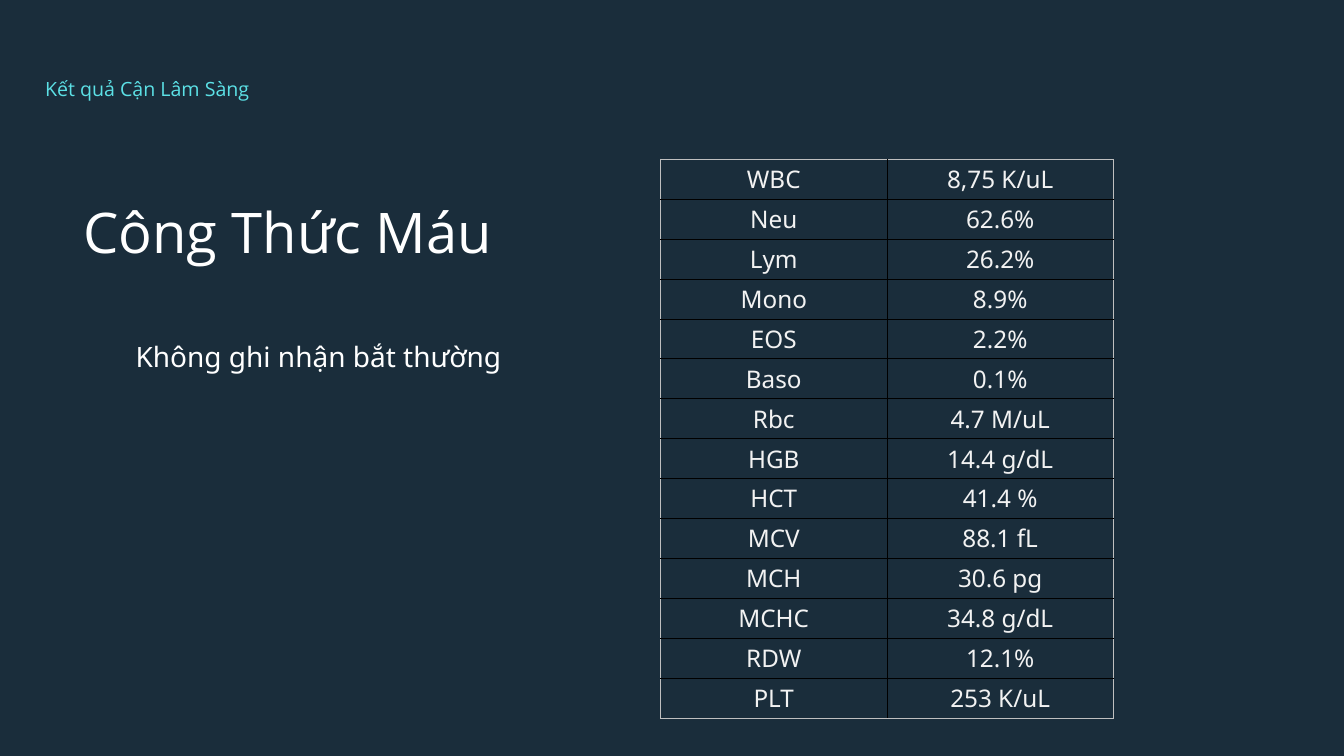
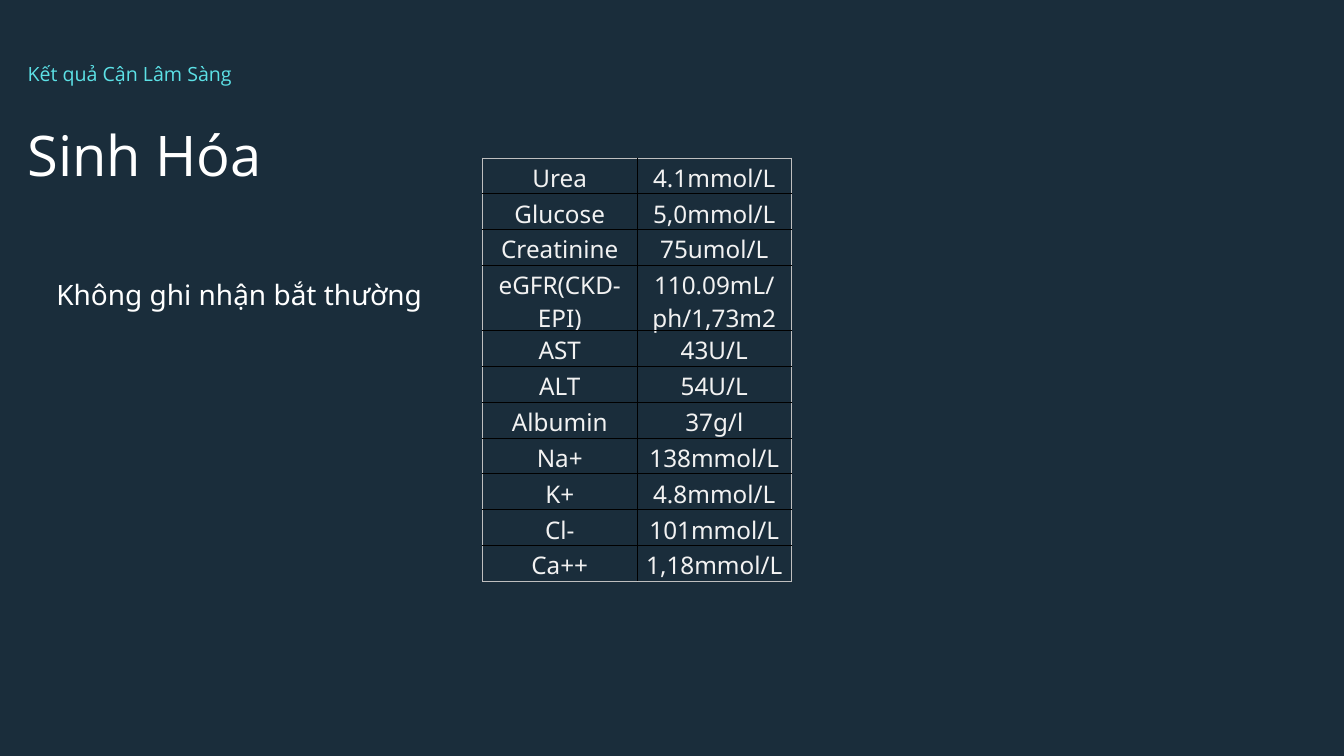
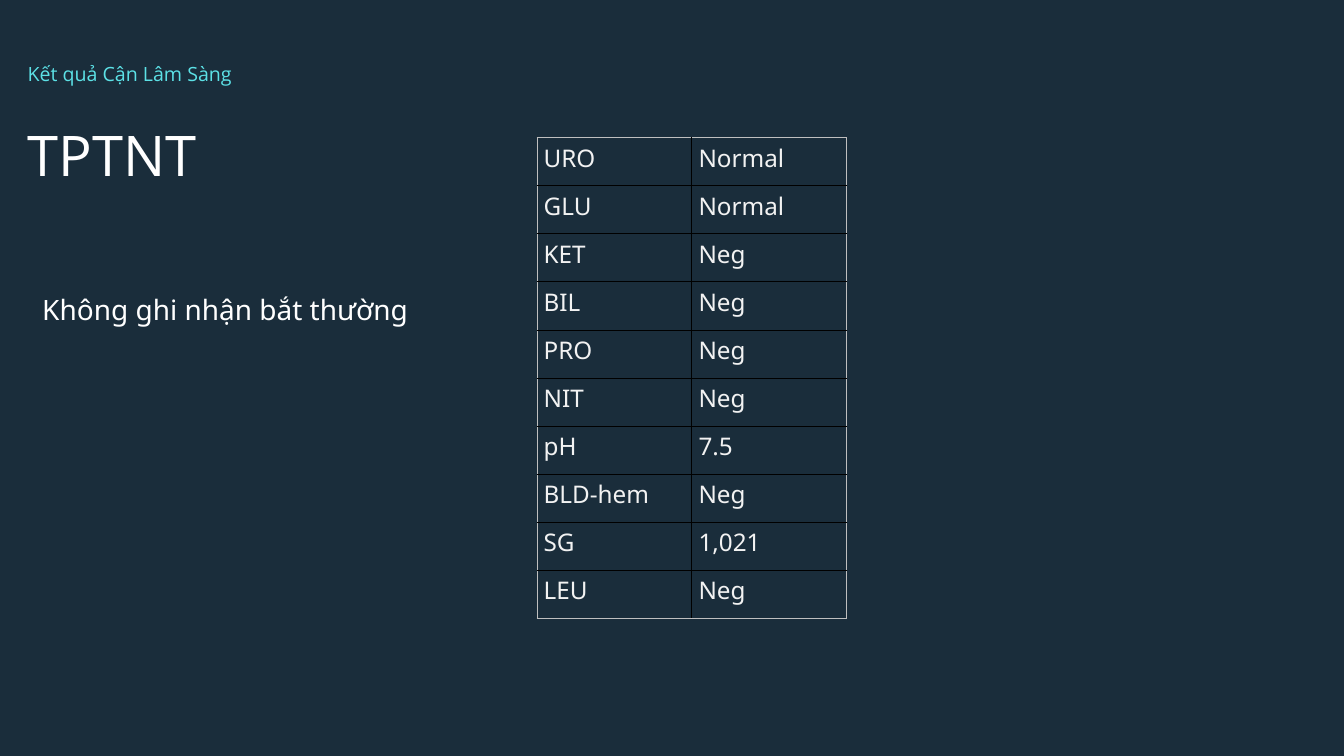
from dataclasses import dataclass

from lxml.etree import SubElement
from pptx import Presentation
from pptx.dml.color import RGBColor as Rgb
from pptx.enum.text import MSO_AUTO_SIZE as Auto, PP_ALIGN as Align
from pptx.oxml.ns import qn
from pptx.util import Inches, Pt

COLS, ROWS = 20, 11.25


@dataclass(frozen=True)
class Theme:
    back: str = "1A2D3B"
    grid: str = "000000"
    edge: str = "BFBFBF"
    cell: str = "F2F2F2"
    white: str = "FFFFFF"
    aqua: str = "5CE1E6"
    head: str = "Open Sans"
    body: str = "Noto Sans"
    title: float = 60
    label: float = 21
    note: float = 30
    data: float = 26
    line: float = 1


THEME = Theme()

BLOOD = [
    ("WBC", "8,75 K/uL"), ("Neu", "62.6%"), ("Lym", "26.2%"),
    ("Mono", "8.9%"), ("EOS", "2.2%"), ("Baso", "0.1%"),
    ("Rbc", "4.7 M/uL"), ("HGB", "14.4 g/dL"), ("HCT", "41.4 %"),
    ("MCV", "88.1 fL"), ("MCH", "30.6 pg"), ("MCHC", "34.8 g/dL"),
    ("RDW", "12.1%"), ("PLT", "253 K/uL"),
]
CHEM = [
    ("Urea", "4.1mmol/L"), ("Glucose", "5,0mmol/L"),
    ("Creatinine", "75umol/L"), ("eGFR(CKD-EPI)", "110.09mL/ph/1,73m2"),
    ("AST", "43U/L"), ("ALT", "54U/L"), ("Albumin", "37g/l"),
    ("Na+", "138mmol/L"), ("K+", "4.8mmol/L"), ("Cl-", "101mmol/L"),
    ("Ca++", "1,18mmol/L"),
]
URINE = [
    ("URO", "Normal"), ("GLU", "Normal"), ("KET", "Neg"), ("BIL", "Neg"),
    ("PRO", "Neg"), ("NIT", "Neg"), ("pH", "7.5"), ("BLD-hem", "Neg"),
    ("SG", "1,021"), ("LEU", "Neg"),
]


def paint(fill, color):
    fill.solid()
    fill.fore_color.rgb = Rgb.from_string(color)


def style(font, face, size, color):
    for key, value in {"name": face, "size": Pt(size)}.items():
        setattr(font, key, value)
    font.color.rgb = Rgb.from_string(color)


def write(slide, text, box, look, lead=None):
    """Add a text box; with a line height it wraps and has no margins."""
    frame = slide.shapes.add_textbox(*map(Inches, box)).text_frame
    form = {"word_wrap": lead is not None,
            "auto_size": Auto.SHAPE_TO_FIT_TEXT}
    if lead:
        sides = ("left", "top", "right", "bottom")
        form.update({f"margin_{side}": 0 for side in sides})
    for key, value in form.items():
        setattr(frame, key, value)
    para = frame.paragraphs[0]
    if lead:
        para.line_spacing = Pt(lead)
    run = para.add_run()
    run.text = text
    style(run.font, *look)


def border(cell, outer):
    """Draw the four sides of a cell, those in outer with the edge colour."""
    props = cell._tc.get_or_add_tcPr()
    for side in "LRTB":
        line = SubElement(props, qn(f"a:ln{side}"), w=str(Pt(THEME.line)))
        fill = SubElement(line, qn("a:solidFill"))
        color = THEME.edge if side in outer else THEME.grid
        SubElement(fill, qn("a:srgbClr"), val=color)


def fill_cell(cell, text, outer, align):
    border(cell, outer)
    cell.fill.background()
    para = cell.text_frame.paragraphs[0]
    para.alignment = align
    run = para.add_run()
    run.text = text
    style(run.font, THEME.body, THEME.data, THEME.cell)


def add_grid(slide, data, box, align=None, step=None, tall=None):
    """Add a table of even rows, or of rows one step high but for tall."""
    last = len(data) - 1
    step = step or box[3] / len(data)
    shape = slide.shapes.add_table(len(data), 2, *map(Inches, box))
    table = shape.table
    for key in ("first_row", "horz_banding"):
        setattr(table, key, False)
    for i, pair in enumerate(data):
        table.rows[i].height = Inches((tall or {}).get(i, step))
        ends = ("T" if i == 0 else "") + ("B" if i == last else "")
        for j, text in enumerate(pair):
            fill_cell(table.cell(i, j), text, ends + "LR"[j], align)
    shape.height = Inches(box[3])


def add_panel(slide):
    """Cover the slide with a plain panel."""
    wide, high = Inches(COLS), Inches(ROWS)
    pen = slide.shapes.add_group_shape().shapes.build_freeform(0, 0)
    pen.add_line_segments([(wide, 0), (wide, high), (0, high)], close=True)
    panel = pen.convert_to_shape()
    panel.shadow.inherit = False
    paint(panel.fill, THEME.back)
    panel.line.fill.background()


def add_text(slide, title, spot, label, note):
    """Add the title, label and note at the given places."""
    write(slide, title, (*spot, 7.72, 1.04),
          (THEME.head, THEME.title, THEME.white), 76.8)
    write(slide, "Kết quả Cận Lâm Sàng", (*label, 3.44, 0.36),
          (THEME.head, THEME.label, THEME.aqua), 26.9)
    write(slide, "Không ghi nhận bắt thường", (*note, 5.7, 0.61),
          (THEME.body, THEME.note, THEME.white))


def main():
    deck = Presentation()
    deck.slide_width, deck.slide_height = Inches(COLS), Inches(ROWS)
    blood, chem, urine = (deck.slides.add_slide(deck.slide_layouts[6])
                          for _ in range(3))
    spot, label = (0.41, 1.72), (0.41, 0.9)

    paint(blood.background.fill, THEME.back)
    add_grid(blood, BLOOD, (9.83, 2.37, 6.74, 8.32), Align.CENTER)
    add_text(blood, "Công Thức Máu", (1.24, 2.88), (0.67, 1.12), (1.92, 5))

    add_panel(chem)
    add_text(chem, "Sinh Hóa", spot, label, (0.74, 4.08))
    add_grid(chem, CHEM, (7.18, 2.35, 4.6, 6.3), Align.CENTER, 0.47,
             {3: 0.71})

    add_panel(urine)
    add_text(urine, "TPTNT", spot, label, (0.53, 4.3))
    add_grid(urine, URINE, (7.99, 2.05, 4.61, 7.15))

    deck.save("out.pptx")


if __name__ == "__main__":
    main()
